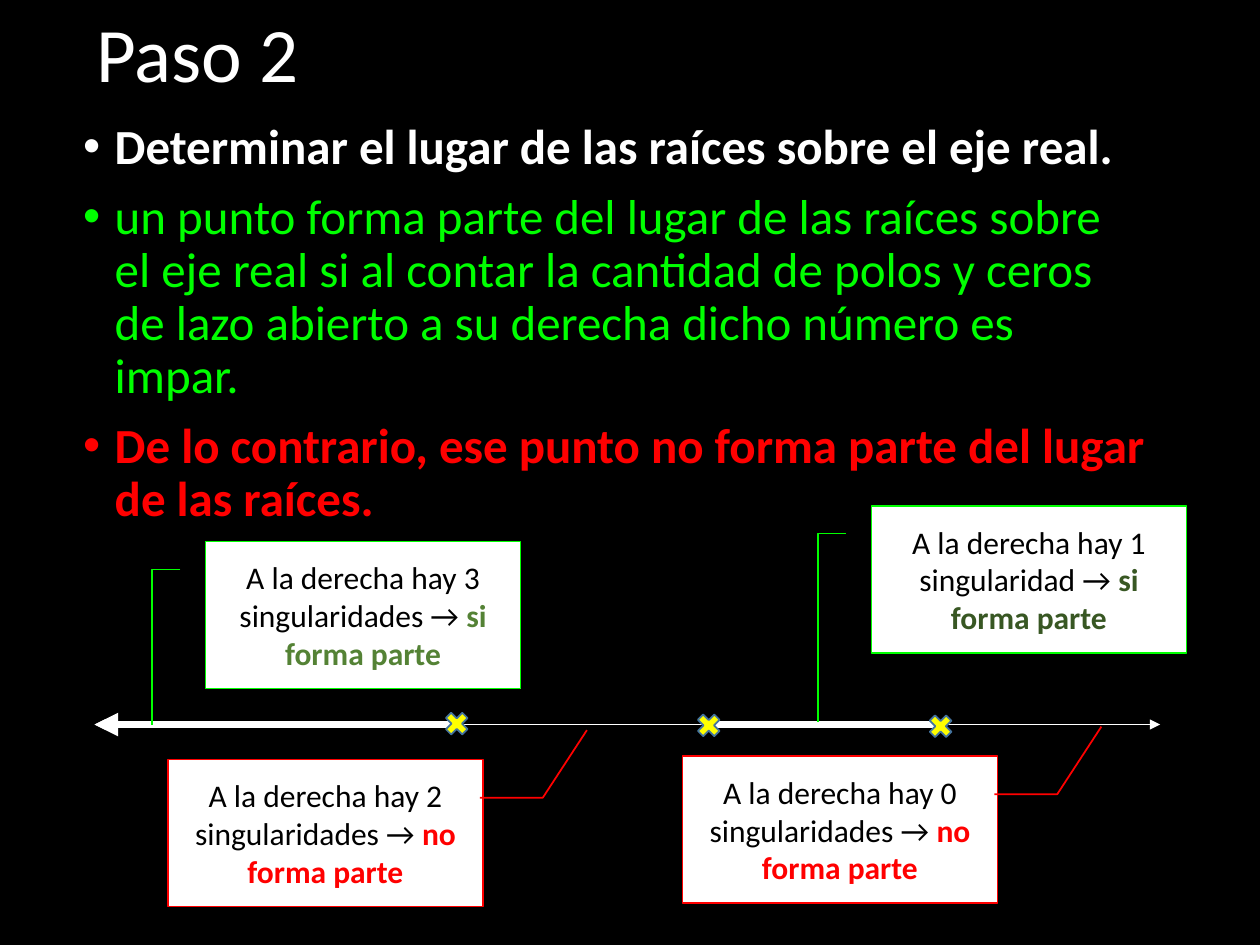
from pptx import Presentation
from pptx.dml.color import RGBColor
from pptx.enum.shapes import MSO_CONNECTOR, MSO_SHAPE
from pptx.enum.text import MSO_ANCHOR, PP_ALIGN
from pptx.oxml.ns import qn
from pptx.util import Pt
from lxml.etree import SubElement

WHITE, BLACK, GREEN, RED = "FFFFFF", "000000", "00FF00", "FF0000"


def paint(target, color):
    """Give a fill a solid colour."""
    target.solid()
    target.fore_color.rgb = RGBColor.from_string(color)


def style(run, size, color, bold=False):
    """Set the font of a run."""
    font = run.font
    font.name, font.size, font.bold = "Calibri", Pt(size), bold
    font.color.rgb = RGBColor.from_string(color)


def add_text(slide, left, top, width, height, items, size, bullet=False):
    """Add a text box with one paragraph per (text, colour, bold) item."""
    box = slide.shapes.add_textbox(Pt(left), Pt(top), Pt(width), Pt(height))
    frame = box.text_frame
    frame.word_wrap = True
    frame.text = "\n".join(item[0] for item in items)
    for par, (_, color, bold) in zip(frame.paragraphs, items):
        par.line_spacing = 0.9
        style(par.runs[0], size, color, bold)
        if bullet:
            par.space_before = Pt(10)
            props = par._p.get_or_add_pPr()
            props.set("marL", str(Pt(18)))
            props.set("indent", str(-Pt(18)))
            SubElement(props, qn("a:buFont")).set("typeface", "Arial")
            SubElement(props, qn("a:buChar")).set("char", "•")
    return frame


def add_axis(slide, start, end, weight, tips=()):
    """Draw a horizontal stretch of the real axis."""
    line = slide.shapes.add_connector(
        MSO_CONNECTOR.STRAIGHT, Pt(start), Pt(414), Pt(end), Pt(414))
    line.line.width = Pt(weight)
    paint(line.line.fill, WHITE)
    for tip in tips:
        SubElement(line.line._get_or_add_ln(), qn(f"a:{tip}")).set("type", "triangle")
    SubElement(line._element.spPr, qn("a:effectLst"))


def add_shape(slide, kind, left, top, width, height, fill, edge):
    """Add a filled and outlined preset shape without shadow."""
    shape = slide.shapes.add_shape(kind, Pt(left), Pt(top), Pt(width), Pt(height))
    shape.shadow.inherit = False
    paint(shape.fill, fill)
    paint(shape.line.fill, edge)
    shape.line.width = Pt(1)
    return shape


def add_note(slide, left, top, edge, bends, lead, verdict, color):
    """Add a callout whose verdict is bold and coloured."""
    note = add_shape(slide, MSO_SHAPE.LINE_CALLOUT_2, left, top, 180, 84, WHITE, edge)
    for index, bend in enumerate(bends):
        note.adjustments[index] = bend
    frame = note.text_frame
    frame.word_wrap = True
    frame.vertical_anchor = MSO_ANCHOR.MIDDLE
    par = frame.paragraphs[0]
    par.alignment = PP_ALIGN.CENTER
    for text, tint, bold in ((lead, BLACK, False), (verdict, color, True)):
        run = par.add_run()
        run.text = text
        style(run, 18, tint, bold)


def main():
    """Build the slide and save it."""
    deck = Presentation()
    deck.slide_width, deck.slide_height = Pt(720), Pt(540)
    slide = deck.slides.add_slide(deck.slide_layouts[6])
    paint(slide.background.fill, BLACK)

    add_axis(slide, 261, 54, 4.5, ["tailEnd"])
    add_axis(slide, 405, 534, 4.5)
    title = add_text(slide, 48, 3, 621, 60, [("Paso 2", WHITE, False)], 44)
    title.vertical_anchor = MSO_ANCHOR.MIDDLE
    add_text(slide, 40.5, 66, 621, 264, [
        ("Determinar el lugar de las raíces sobre el eje real.", WHITE, True),
        ("un punto forma parte del lugar de las raíces sobre el eje real si al "
         "contar la cantidad de polos y ceros de lazo abierto a su derecha "
         "dicho número es impar.", GREEN, False),
        ("De lo contrario, ese punto no forma parte del lugar de las raíces.",
         RED, True),
    ], 28, bullet=True)
    add_axis(slide, 54, 663, 0.5, ["headEnd", "tailEnd"])

    for left, top in ((396, 405.5), (252, 404.5), (528.5, 406)):
        add_shape(slide, MSO_SHAPE.MATH_MULTIPLY, left, top, 18, 18, "FFFF00", "43739E")

    bend = (0.19, -0.08, 0.19, -0.17)
    below = (0.26, 0.99, 0.26, 1.19, -0.2, 1.33)
    yes, no = "si forma parte", "no forma parte"
    for left, top, edge, bends, count, verdict, color in (
        (498, 289, GREEN, bend + (1.47, -0.17), "1 singularidad", yes, "385723"),
        (117.5, 309.5, GREEN, bend + (1.25, -0.17), "3 singularidades", yes, "548235"),
        (96, 434, RED, below, "2 singularidades", no, RED),
        (390, 432, RED, below, "0 singularidades", no, RED),
    ):
        add_note(slide, left, top, edge, bends, f"A la derecha hay {count} → ",
                 verdict, color)
    deck.save("out.pptx")


if __name__ == "__main__":
    main()
